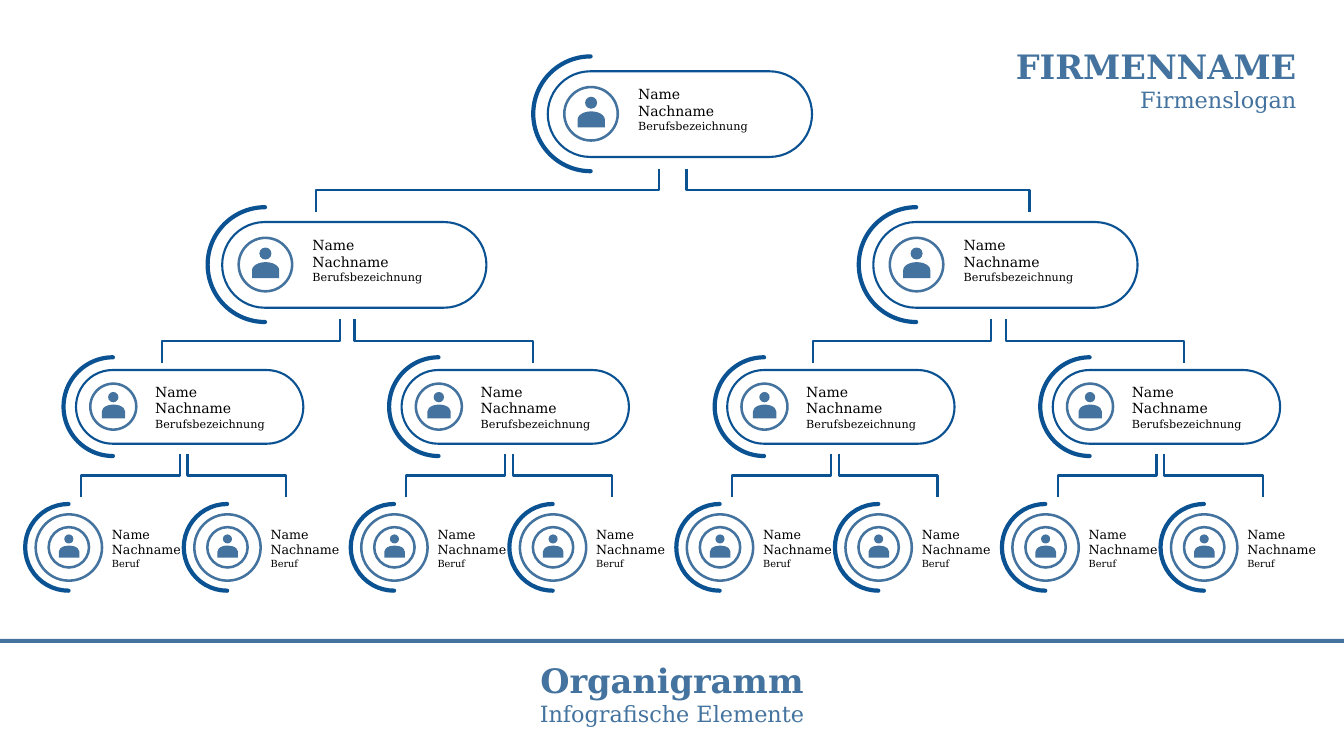
from dataclasses import dataclass

from lxml import etree
from pptx import Presentation
from pptx import util as u
from pptx.dml.color import RGBColor
from pptx.enum import shapes, text
from pptx.oxml.ns import qn

Kind = shapes.MSO_SHAPE
Align = text.PP_ALIGN


@dataclass(frozen=True)
class Theme:
    font: str = "DejaVu Serif"
    steel: str = "43739E"
    navy: str = "0B5292"
    blue: str = "0F6FC6"
    white: str = "FFFFFF"
    black: str = "000000"
    title: float = 24
    slogan: float = 16
    card: tuple = (10, 10, 8)
    leaf: tuple = (9, 9, 7)
    thin: float = 1.5
    ring: float = 1.8
    thick: float = 3


T = Theme()
HALF = 232.56   # distance between neighbouring branches
PAIR = 113.3    # distance between two leaves of a branch
ARC = 82        # arc diameter at full scale


def shape(parent, kind, box, fill=None, line=None, width=0, turn=0):
    """Draw one preset shape; box is left, top, width, height."""
    part = parent.add_shape(kind, *(u.Pt(v) for v in box))
    part.shadow.inherit = False
    part.rotation = turn
    if fill:
        part.fill.solid()
        part.fill.fore_color.rgb = RGBColor.from_string(fill)
    else:
        part.fill.background()
    if line:
        part.line.color.rgb = RGBColor.from_string(line)
        part.line.width = u.Pt(width)
    else:
        part.line.fill.background()
    return part


def label(parent, box, rows, color, align=Align.LEFT):
    """Write rows of (words, size, bold), one paragraph each."""
    part = parent.add_textbox(*(u.Pt(v) for v in box))
    frame = part.text_frame
    frame.word_wrap = True
    frame.auto_size = text.MSO_AUTO_SIZE.SHAPE_TO_FIT_TEXT
    for i, (words, size, bold) in enumerate(rows):
        para = frame.add_paragraph() if i else frame.paragraphs[0]
        para.alignment = align
        run = para.add_run()
        run.text = words
        run.font.name = T.font
        run.font.size = u.Pt(size)
        run.font.bold = bold
        run.font.color.rgb = RGBColor.from_string(color)


def badge(parent, x, y, scale):
    """Half arc and person icon, from the arc's top left corner."""
    def place(left, top, wide, high):
        return x + left * scale, y + top * scale, wide * scale, high * scale

    arc = shape(parent, Kind.BLOCK_ARC, place(0, 0, ARC, ARC),
                T.blue, T.navy, T.thick, 270)
    for i, value in enumerate((108, 0, 0)):
        arc.adjustments[i] = value
    shape(parent, Kind.OVAL, place(22.2, 21.9, 38.2, 38.2),
          line=T.steel, width=T.ring)
    shape(parent, Kind.OVAL, place(37, 28.8, 8.6, 8.6), T.steel)
    shape(parent, Kind.FLOWCHART_DELAY, place(35.7, 35.3, 11.5, 19.4),
          T.steel, turn=270)


def staff(job, sizes):
    return [(words, size, False)
            for words, size in zip(("Name", "Nachname", job), sizes)]


def card(slide, x, y, scale):
    """Rounded card for a leading role."""
    group = slide.shapes.add_group_shape().shapes
    shape(group, Kind.FLOWCHART_TERMINATOR,
          (x + 10.4 * scale, y + 10.6 * scale, 188.8 * scale, 61.2 * scale),
          T.white, T.navy, T.thin)
    badge(group, x, y, scale)
    label(group, (x + 67.8 * scale, y + 17.4 * scale, 124.4 * scale, 41),
          staff("Berufsbezeichnung", T.card), T.black)


def leaf(slide, x, y, scale):
    """Round badge with text beside it for the lowest level."""
    group = slide.shapes.add_group_shape().shapes
    label(group, (x + 54.9, y + 13, 71, 37.4),
          staff("Beruf", T.leaf), T.black)
    badge(group, x, y, scale)
    shape(group, Kind.OVAL, (x + 7.5, y + 7.4, 47.4, 47.4),
          line=T.steel, width=T.ring)


def fork(slide, x, y, scale, gap, reach, drop=31):
    """Two elbow lines below the card whose arc starts at x, y."""
    mid, half = x + 99.7 * scale, y + 80.2 * scale + drop / 2
    for side in (-1, 1):
        center = mid + side * (gap + reach) / 2
        # Drawn lying down, then turned so that the ends run upright
        lean = -side * drop / 2
        line = slide.shapes.add_connector(
            shapes.MSO_CONNECTOR.ELBOW,
            u.Pt(center - lean), u.Pt(half - reach / 2),
            u.Pt(center + lean), u.Pt(half + reach / 2))
        line.line.color.rgb = RGBColor.from_string(T.navy)
        line.line.width = u.Pt(T.thin)
        props = line._element.spPr
        props.find(qn("a:xfrm")).set("rot", str(270 * 60000))
        etree.SubElement(props, qn("a:effectLst"))


def chart(slide, x, y):
    """The whole tree, level by level."""
    # Left, top, count, step, scale, fork gap, fork reach
    levels = (
        (x + 362.9, y, 1, 0, 1, 19.4, 245),
        (x + 130.3, y + 107.7, 2, 2 * HALF, 1, 10.4, 127.3),
        (x + 27.4, y + 214.9, 4, HALF, 0.86, 5.6, 70.6),
    )
    for left, top, count, step, scale, gap, reach in levels:
        for i in range(count):
            card(slide, left + i * step, top, scale)
            fork(slide, left + i * step, top, scale, gap, reach)
    for i in range(8):
        branch, side = divmod(i, 2)
        leaf(slide, x + branch * HALF + side * PAIR, y + 319.7, 0.755)


def header(slide, box):
    label(slide.shapes, box, [("FIRMENNAME", T.title, True),
                              ("Firmenslogan", T.slogan, False)],
          T.steel, Align.RIGHT)


def footer(slide, x, y, wide):
    """Rule across the slide with the title below."""
    shape(slide.shapes, Kind.RECTANGLE, (x, y, wide, 2.9), T.steel)
    label(slide.shapes, (x, y + 11.2, wide, 59),
          [("Organigramm", T.title, True),
           ("Infografische Elemente", T.slogan, False)],
          T.steel, Align.CENTER)


def main():
    deck = Presentation()
    deck.slide_width, deck.slide_height = u.Pt(960), u.Pt(540)
    slide = deck.slides.add_slide(deck.slide_layouts[6])
    footer(slide, 0, 456.4, 960)
    header(slide, (669.6, 29.5, 263.5, 55.4))
    chart(slide, 18, 40.3)
    deck.save("out.pptx")


if __name__ == "__main__":
    main()
